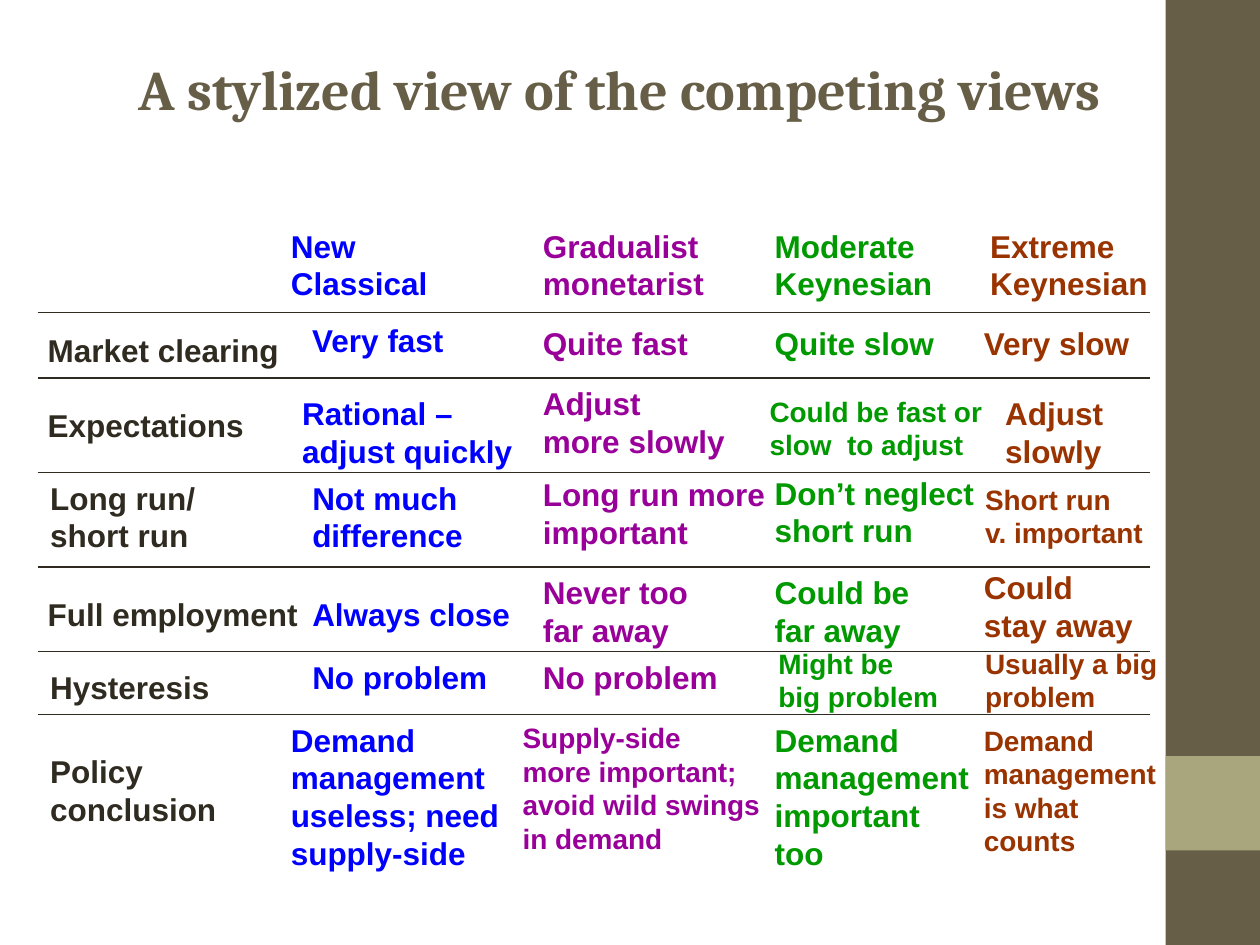
from pptx import Presentation
from pptx import util as u
from pptx.dml.color import RGBColor
from pptx.enum import shapes, text
from pptx.oxml.ns import qn
from lxml import etree

Inches, Pt = u.Inches, u.Pt
DARK, BROWN, OLIVE = "2F2B20", "675E47", "A9A57C"


def rgb(value):
    return RGBColor.from_string(value)


def add_run(p, words, font, size, color):
    r = p.add_run()
    r.text = words
    r.font.name = font
    r.font.size = Pt(size)
    r.font.bold = True
    r.font.color.rgb = rgb(color)


prs = Presentation()
prs.slide_width, prs.slide_height = Inches(10), Inches(7.5)
s = prs.slides.add_slide(prs.slide_layouts[5])

# Side band with its lighter block
for top, height, color in [(0, 7.5, BROWN), (6, 0.75, OLIVE)]:
    sp = s.shapes.add_shape(shapes.MSO_SHAPE.RECTANGLE, Inches(9.25), Inches(top),
                            Inches(0.75), Inches(height))
    sp.shadow.inherit = False
    sp.fill.solid()
    sp.fill.fore_color.rgb = rgb(color)
    sp.line.fill.background()

# Title
title = s.shapes.title
title.left, title.top = Inches(0.67), Inches(0.38)
title.width, title.height = Inches(8.5), Inches(1.21)
tf = title.text_frame
tf.word_wrap = True
tf.auto_size = text.MSO_AUTO_SIZE.NONE
tf.vertical_anchor = text.MSO_ANCHOR.TOP
p = tf.paragraphs[0]
p.alignment = text.PP_ALIGN.CENTER
add_run(p, "A stylized view of the competing views", "Cambria", 32, BROWN)

# Columns: colour, then cells as (left, top, width, size, lines)
columns = [
    (DARK, [
        (0.28, 2.58, 2.03, 18, ["Market clearing"]),
        (0.28, 3.17, 1.75, 18, ["Expectations"]),
        (0.3, 3.75, 1.35, 18, ["Long run/", "short run"]),
        (0.28, 4.67, 2.18, 18, ["Full employment"]),
        (0.3, 5.25, 1.46, 18, ["Hysteresis"]),
        (0.3, 5.92, 1.52, 18, ["Policy", "conclusion"]),
    ]),
    ("0000FF", [
        (2.21, 1.75, 1.28, 18, ["New", "Classical"]),
        (2.38, 2.5, 1.25, 18, ["Very fast"]),
        (2.3, 3.08, 1.86, 18, ["Rational –", "adjust quickly"]),
        (2.38, 3.75, 1.39, 18, ["Not much", "difference"]),
        (2.38, 4.67, 1.77, 18, ["Always close"]),
        (2.38, 5.17, 1.59, 18, ["No problem"]),
        (2.21, 5.67, 1.85, 18, ["Demand", "management", "useless; need", "supply-side"]),
    ]),
    ("990099", [
        (4.21, 1.75, 1.5, 18, ["Gradualist", "monetarist"]),
        (4.21, 2.52, 1.35, 18, ["Quite fast"]),
        (4.21, 3, 1.64, 18, ["Adjust", "more slowly"]),
        (4.21, 3.72, 1.96, 18, ["Long run more", "important"]),
        (4.21, 4.5, 1.35, 18, ["Never too", "far away"]),
        (4.21, 5.17, 1.59, 18, ["No problem"]),
        (4.05, 5.67, 2.08, 16, ["Supply-side", "more important;", "avoid wild swings",
                                "in demand"]),
    ]),
    ("009900", [
        (6.05, 1.75, 1.45, 18, ["Moderate", "Keynesian"]),
        (6.05, 2.52, 1.46, 18, ["Quite slow"]),
        (6.01, 3.08, 1.95, 16, ["Could be fast or", "slow  to adjust"]),
        (6.05, 3.71, 1.78, 18, ["Don’t neglect", "short run"]),
        (6.05, 4.5, 1.27, 18, ["Could be", "far away"]),
        (6.08, 5.08, 1.47, 16, ["Might be", "big problem"]),
        (6.05, 5.67, 1.74, 18, ["Demand", "management", "important", "too"]),
    ]),
    ("993300", [
        (7.76, 1.75, 1.45, 18, ["Extreme", "Keynesian"]),
        (7.71, 2.52, 1.36, 18, ["Very slow"]),
        (7.88, 3.08, 0.98, 18, ["Adjust", "slowly"]),
        (7.72, 3.78, 1.47, 16, ["Short run", "v. important"]),
        (7.71, 4.46, 1.38, 18, ["Could", "stay away"]),
        (7.72, 5.08, 1.56, 16, ["Usually a big", "problem"]),
        (7.71, 5.69, 1.56, 16, ["Demand", "management", "is what", "counts"]),
    ]),
]
line_height = {18: 0.3, 16: 0.27}
slack = 0.02  # keeps the widest line from breaking

for color, cells in columns:
    for left, top, width, size, lines in cells:
        height = 0.1 + len(lines) * line_height[size]
        sp = s.shapes.add_textbox(Inches(left), Inches(top), Inches(width + slack),
                                  Inches(height))
        tf = sp.text_frame
        tf.word_wrap = False
        tf.auto_size = text.MSO_AUTO_SIZE.SHAPE_TO_FIT_TEXT
        for i, words in enumerate(lines):
            p = tf.add_paragraph() if i else tf.paragraphs[0]
            add_run(p, words, "Arial", size, color)

# Row rules
for y in [2.48, 3, 3.75, 4.5, 5.17, 5.67]:
    rule = s.shapes.add_connector(shapes.MSO_CONNECTOR.STRAIGHT, Inches(0.3), Inches(y),
                                  Inches(9.13), Inches(y))
    rule.line.color.rgb = rgb(DARK)
    rule.line.width = Pt(0.75)
    etree.SubElement(rule._element.spPr, qn("a:effectLst"))

prs.save("out.pptx")
